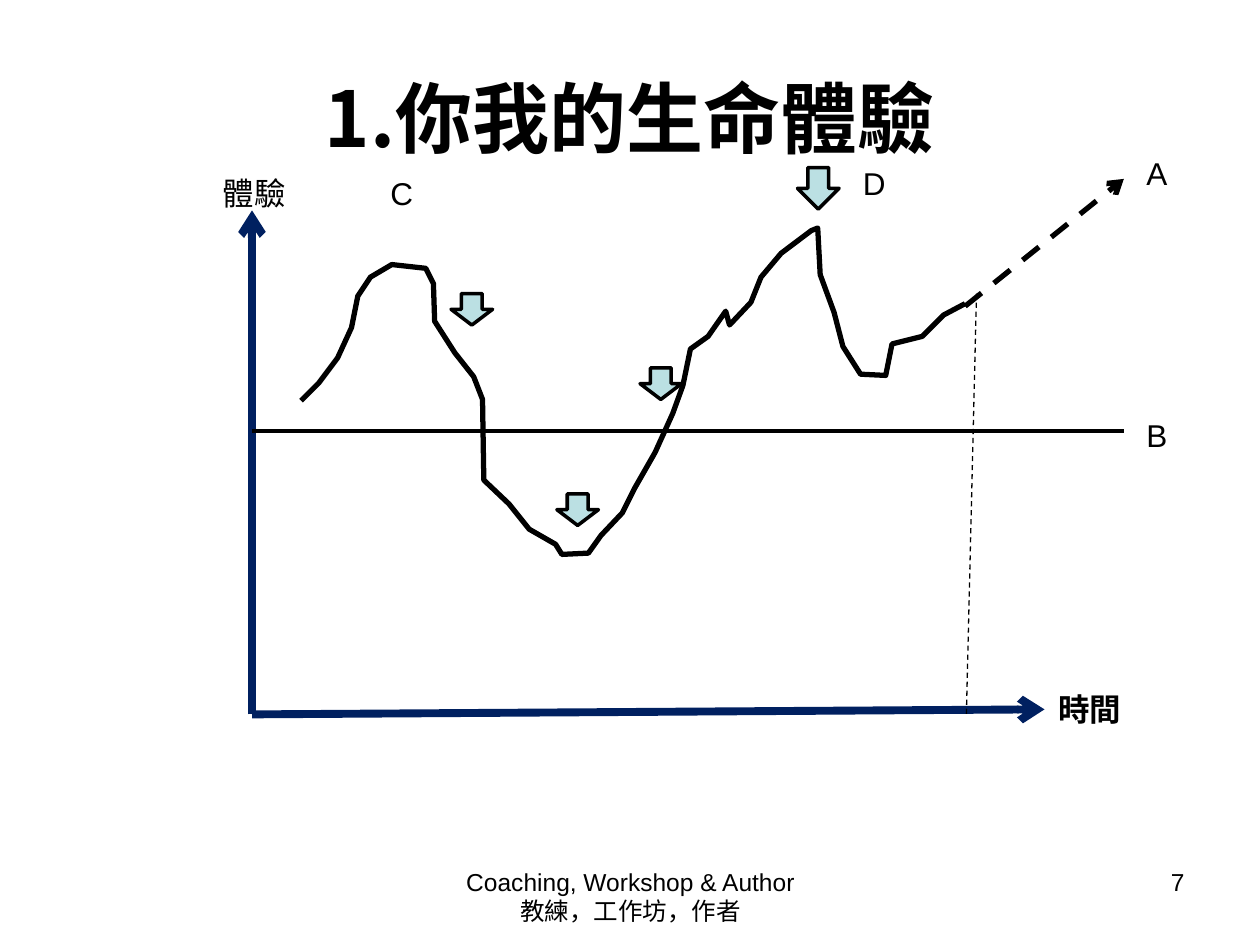
from pptx import Presentation
from pptx.dml.color import RGBColor
from pptx.enum.dml import MSO_LINE_DASH_STYLE as DASH
from pptx.enum.shapes import MSO_CONNECTOR, MSO_SHAPE
from pptx.enum.text import MSO_ANCHOR, MSO_AUTO_SIZE, PP_ALIGN
from pptx.oxml.ns import qn
from pptx.util import Inches, Pt
from lxml.etree import SubElement

BLACK = RGBColor(0x00, 0x00, 0x00)
NAVY = RGBColor(0x00, 0x20, 0x60)
PALE_BLUE = RGBColor(0xBB, 0xE0, 0xE3)
WHITE = RGBColor(0xFF, 0xFF, 0xFF)
LATIN_FONT = "Arial"
CJK_FONT = "Noto Sans CJK SC"

# Life curve, in hundredths of an inch from the top of the vertical axis
LIFE_CURVE = [
    (39, 151), (53, 137), (68, 117), (79, 93), (84, 68), (94, 53), (111, 43),
    (138, 46), (144, 58), (145, 88), (161, 113), (176, 132), (183, 150),
    (184, 214), (204, 233), (220, 253), (241, 265), (246, 273), (267, 272),
    (277, 258), (294, 240), (304, 220), (320, 192), (334, 161), (342, 139),
    (348, 110), (362, 100), (376, 80), (379, 91), (396, 73), (404, 53),
    (420, 34), (444, 16), (449, 14), (451, 51), (462, 81), (469, 108),
    (483, 130), (503, 131), (508, 106), (532, 100), (549, 83), (566, 74),
]


def write(frame, text, font=LATIN_FONT, size=18, bold=False, align=PP_ALIGN.LEFT):
    paragraph = frame.paragraphs[0]
    paragraph.text = text
    paragraph.alignment = align
    for run in paragraph.runs:
        run.font.size = Pt(size)
        run.font.bold = bold
        run.font.color.rgb = BLACK
        run.font.name = font
        east_asian = SubElement(run.font._element, qn("a:ea"))
        east_asian.set("typeface", CJK_FONT)


def add_text(slide, text, left, top, width, height, wrap=True, grow=False, **style):
    frame = slide.shapes.add_textbox(left, top, width, height).text_frame
    frame.word_wrap = wrap
    frame.auto_size = MSO_AUTO_SIZE.SHAPE_TO_FIT_TEXT if grow else MSO_AUTO_SIZE.NONE
    write(frame, text, **style)


def add_line(slide, left, top, start, end, color=BLACK, width=2.25, dash=None, arrow=False):
    """Draw from start to end, both in inches from (left, top)."""
    (x1, y1), (x2, y2) = start, end
    connector = slide.shapes.add_connector(
        MSO_CONNECTOR.STRAIGHT,
        left + Inches(x1), top + Inches(y1), left + Inches(x2), top + Inches(y2))
    connector.line.color.rgb = color
    connector.line.width = Pt(width)
    if dash:
        connector.line.dash_style = dash
    if arrow:
        SubElement(connector.line._get_or_add_ln(), qn("a:tailEnd")).set("type", "arrow")
    SubElement(connector._element.spPr, qn("a:effectLst"))


def add_title(slide, left, top, width, height):
    title = slide.shapes.title
    title.left, title.top, title.width, title.height = left, top, width, height
    title.text_frame.vertical_anchor = MSO_ANCHOR.MIDDLE
    write(title.text_frame, "1.你我的生命體驗", font=CJK_FONT, size=44, bold=True,
          align=PP_ALIGN.CENTER)


def add_life_curve(slide, left, top):
    builder = slide.shapes.build_freeform(*LIFE_CURVE[0], scale=Inches(0.01))
    builder.add_line_segments(LIFE_CURVE[1:], close=False)
    curve = builder.convert_to_shape(left, top)
    curve.shadow.inherit = False
    curve.fill.background()
    curve.line.color.rgb = BLACK
    curve.line.width = Pt(3)


def add_marker(slide, left, top, height):
    marker = slide.shapes.add_shape(MSO_SHAPE.DOWN_ARROW, left, top, Inches(0.33), height)
    marker.shadow.inherit = False
    marker.fill.solid()
    marker.fill.fore_color.rgb = PALE_BLUE
    marker.line.color.rgb = BLACK
    marker.line.width = Pt(2)


def add_life_chart(slide, left, top, width, height):
    """Draw the chart; the box spans the two axes."""
    right, bottom = width.inches, height.inches
    origin = (0, bottom)
    add_line(slide, left, top, origin, (right, bottom - 0.04), NAVY, 4.5, arrow=True)
    add_line(slide, left, top, origin, (0, 0), NAVY, 4.5, arrow=True)
    add_line(slide, left, top, (0, 1.75), (6.92, 1.75))
    add_life_curve(slide, left, top)
    add_line(slide, left, top, (5.66, 0.76), (6.92, -0.25), width=3, dash=DASH.DASH, arrow=True)
    add_line(slide, left, top, (5.75, 0.66), (5.67, bottom), width=0.75, dash=DASH.DASH)

    for x, y, marker_height in [(2.42, 2.25, 0.25), (4.33, -0.34, 0.33),
                                (3.08, 1.25, 0.25), (1.58, 0.66, 0.25)]:
        add_marker(slide, left + Inches(x), top + Inches(y), Inches(marker_height))

    for name, x, y, bold in [("體驗", -0.33, -0.34, False),
                             ("時間", right + 0.01, bottom - 0.24, True)]:
        add_text(slide, name, left + Inches(x), top + Inches(y), Inches(0.7), Inches(0.4),
                 wrap=False, grow=True, font=CJK_FONT, bold=bold)
    for letter, x, y, label_width in [("A", 7, -0.5, 0.5), ("B", 7, 1.58, 0.5),
                                      ("C", 1, -0.34, 0.33), ("D", 4.75, -0.42, 0.67)]:
        add_text(slide, letter, left + Inches(x), top + Inches(y),
                 Inches(label_width), Inches(0.4), grow=True)


def add_footer(slide, left, top, width, height):
    add_text(slide, "Coaching, Workshop & Author\v教練，工作坊，作者", left, top,
             Inches(3.17), height, size=14, align=PP_ALIGN.CENTER)
    number_width = Inches(2.33)
    add_text(slide, "7", left + width - number_width, top, number_width, height,
             size=14, align=PP_ALIGN.RIGHT)


def main():
    deck = Presentation()
    deck.slide_width, deck.slide_height = Inches(10), Inches(7.5)
    slide = deck.slides.add_slide(deck.slide_layouts.get_by_name("Title Only"))
    slide.background.fill.solid()
    slide.background.fill.fore_color.rgb = WHITE
    add_title(slide, Inches(0.5), Inches(0.3), Inches(9), Inches(1.25))
    add_life_chart(slide, Inches(2), Inches(1.67), Inches(6.29), Inches(4))
    add_footer(slide, Inches(3.42), Inches(6.83), Inches(6.08), Inches(0.52))
    deck.save("out.pptx")


if __name__ == "__main__":
    main()
